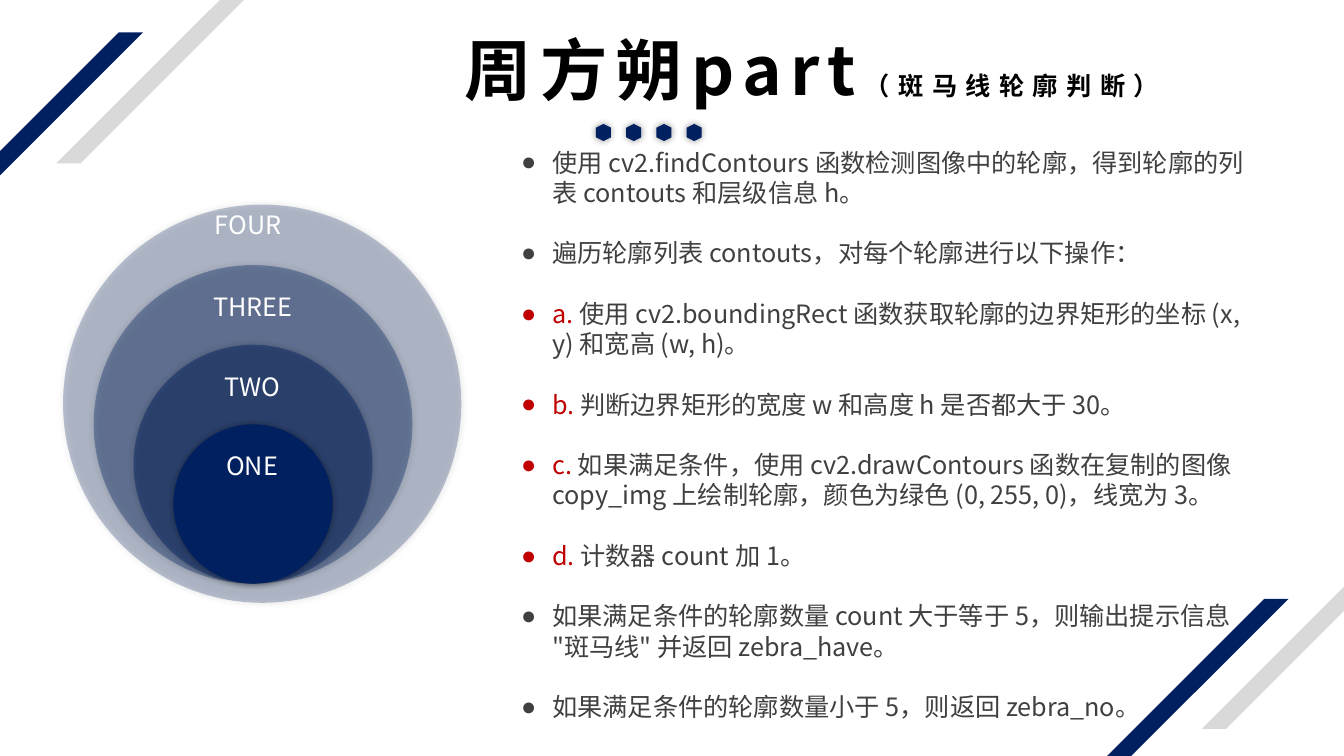
from lxml.etree import SubElement
from pptx import Presentation
from pptx.dml.color import RGBColor
from pptx.enum.shapes import MSO_SHAPE as Shape
from pptx.enum.text import PP_ALIGN as Align
from pptx.oxml.ns import qn
from pptx.util import Inches, Pt

FONT = "Noto Sans CJK SC"
NAVY, GREY, TEXT, RED, WHITE, BLACK = "002060", "D9D9D9", "404040", "C00000", "FFFFFF", "000000"

TITLE = [("周方朔part", 48), ("（斑马线轮廓判断）", 18)]
STEPS = [
    ("", "使用 cv2.findContours 函数检测图像中的轮廓，得到轮廓的列表 contouts 和层级信息 h。"),
    ("", "遍历轮廓列表 contouts，对每个轮廓进行以下操作："),
    ("a.", " 使用 cv2.boundingRect 函数获取轮廓的边界矩形的坐标 (x, y) 和宽高 (w, h)。"),
    ("b.", " 判断边界矩形的宽度 w 和高度 h 是否都大于 30。"),
    ("c.", " 如果满足条件，使用 cv2.drawContours 函数在复制的图像 copy_img 上绘制轮廓，"
           "颜色为绿色 (0, 255, 0)，线宽为 3。"),
    ("d.", " 计数器 count 加 1。"),
    ("", "如果满足条件的轮廓数量 count 大于等于 5，则输出提示信息 \"斑马线\" 并返回 zebra_have。"),
    ("", "如果满足条件的轮廓数量小于 5，则返回 zebra_no。"),
]
STRIPES = [(-1.41, 0.32, NAVY), (0.56, -0.97, GREY), (9.95, 5.94, NAVY), (11.92, 4.64, GREY)]
# label, diameter, opacity, centre, bottom, label centre, label drop
CIRCLES = [
    ("FOUR", 3.95, 25, 2.6, 5.98, 2.46, 0),
    ("THREE", 3.16, 35, 2.51, 5.79, 2.51, 0.21),
    ("TWO", 2.37, 45, 2.51, 5.79, 2.5, 0.21),
    ("ONE", 1.58, 100, 2.51, 5.79, 2.5, 0.21),
]
LABEL_WIDTH = 1
LINE = Pt(21.6)

deck = Presentation()
deck.slide_width, deck.slide_height = Inches(13.33), Inches(7.5)
page = deck.slides.add_slide(deck.slide_layouts[6])


def rgb(value):
    return RGBColor.from_string(value)


def add_solid(kind, left, top, width, height, color, opacity=100, shadow=False):
    shape = page.shapes.add_shape(kind, *map(Inches, (left, top, width, height)))
    shape.shadow.inherit = False
    shape.fill.solid()
    shape.fill.fore_color.rgb = rgb(color)
    shape.line.fill.background()
    properties = shape._element.spPr
    if opacity < 100:
        fill = properties.find(qn("a:solidFill"))
        SubElement(fill[0], qn("a:alpha"), val=str(opacity * 1000))
    if shadow:
        effects = properties.find(qn("a:effectLst"))
        outer = SubElement(effects, qn("a:outerShdw"), blurRad=str(Pt(5)), dist="0", dir="0",
                           algn="ctr", rotWithShape="0")
        tone = SubElement(outer, qn("a:srgbClr"), val=BLACK)
        SubElement(tone, qn("a:alpha"), val="40000")
    return shape


def add_box(left, top, width, height, wrap):
    box = page.shapes.add_textbox(*map(Inches, (left, top, width, height)))
    box.text_frame.word_wrap = wrap
    return box.text_frame


def add_span(para, text, size, color, bold=False, spacing=0):
    span = para.add_run()
    span.text = text
    span.font.size, span.font.bold, span.font.name = Pt(size), bold, FONT
    span.font.color.rgb = rgb(color)
    properties = span.font._element
    SubElement(properties, qn("a:ea"), typeface=FONT)
    if spacing:
        properties.set("spc", str(spacing * 100))


def add_bullet(para):
    properties = para._p.get_or_add_pPr()
    properties.set("marL", str(Inches(0.31)))
    properties.set("indent", str(-Inches(0.31)))
    SubElement(properties, qn("a:buFont"), typeface="Arial")
    SubElement(properties, qn("a:buChar"), char="●")


for left, top, color in STRIPES:
    stripe = add_solid(Shape.PARALLELOGRAM, left, top, 2.83, 2.59, color)
    stripe.adjustments[0] = 1

steps = add_box(5.07, 1.41, 7.44, 4.83, True)
for index, (letter, text) in enumerate(STEPS):
    para = steps.add_paragraph() if index else steps.paragraphs[0]
    para.line_spacing = LINE
    para.space_after = LINE
    add_bullet(para)
    if letter:
        add_span(para, letter, 18, RED)
    add_span(para, text, 18, TEXT)

for label, size, opacity, centre, bottom, label_centre, drop in CIRCLES:
    add_solid(Shape.OVAL, centre - size / 2, bottom - size, size, size, NAVY, opacity, True)
for label, size, opacity, centre, bottom, label_centre, drop in CIRCLES:
    frame = add_box(label_centre - LABEL_WIDTH / 2, bottom - size + drop, LABEL_WIDTH, 0.4, False)
    frame.paragraphs[0].alignment = Align.CENTER
    add_span(frame.paragraphs[0], label, 18, WHITE)

title = add_box(4.51, 0.23, 7.8, 1, True)
for text, size in TITLE:
    add_span(title.paragraphs[0], text, size, BLACK, True, 6)

for index in range(4):
    dot = add_solid(Shape.HEXAGON, 5.9 + 0.3 * index, 1.24, 0.17, 0.15, NAVY, shadow=True)
    dot.rotation = 90

deck.save("out.pptx")
